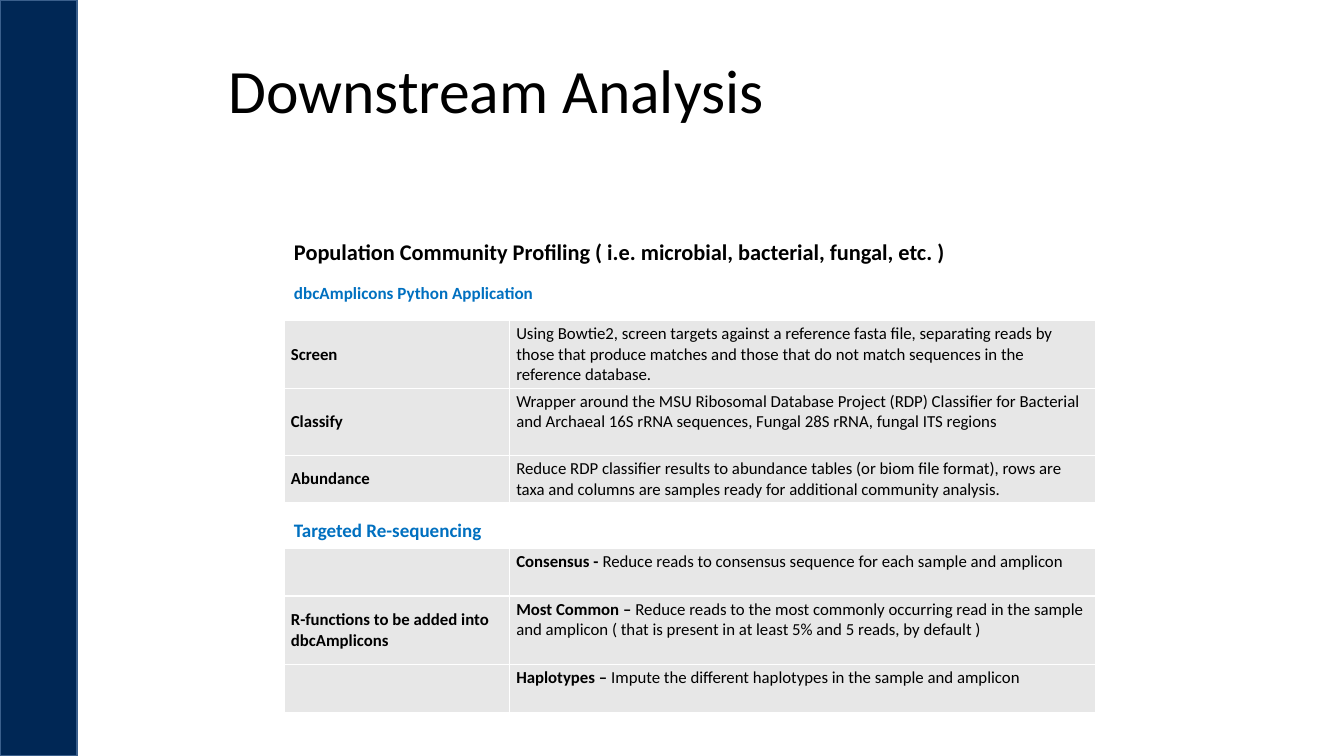
from lxml.etree import SubElement
from pptx import Presentation
from pptx.dml.color import RGBColor
from pptx.enum.shapes import MSO_SHAPE as Preset
from pptx.enum.text import MSO_ANCHOR as Anchor
from pptx.oxml.ns import qn
from pptx.util import Cm, Pt

FONT = "Calibri"
COLORS = {
    "navy": "002755",
    "edge": "3A5F8C",
    "ink": "000000",
    "blue": "0070C0",
    "cell": "E7E7E7",
    "rule": "FFFFFF",
}

TITLE = "Downstream Analysis"
HEADINGS = [
    ("Population Community Profiling ( i.e. microbial, bacterial, fungal, etc. )", 5.87, 18.06, 0.94, 16, "ink"),
    ("dbcAmplicons Python Application", 6.99, 14.68, 0.79, 12.2, "blue"),
    ("Targeted Re-sequencing", 12.93, 14.25, 0.84, 13.6, "blue"),
]
APPLICATION = [
    ("Screen", "", "Using Bowtie2, screen targets against a reference fasta file, separating reads by those that produce matches and those that do not match sequences in the reference database."),
    ("Classify", "", "Wrapper around the MSU Ribosomal Database Project (RDP) Classifier for Bacterial and Archaeal 16S rRNA sequences, Fungal 28S rRNA, fungal ITS regions"),
    ("Abundance", "", "Reduce RDP classifier results to abundance tables (or biom file format), rows are taxa and columns are samples ready for additional community analysis."),
]
RESEQUENCING = [
    ("", "Consensus - ", "Reduce reads to consensus sequence for each sample and amplicon"),
    ("R-functions to be added into dbcAmplicons", "Most Common – ", "Reduce reads to the most commonly occurring read in the sample and amplicon ( that is present in at least 5% and 5 reads, by default )"),
    ("", "Haplotypes – ", "Impute the different haplotypes in the sample and amplicon"),
]
TABLES = [
    (APPLICATION, 8.08, (1.7, 1.7, 1.18)),
    (RESEQUENCING, 13.81, (1.21, 1.73, 1.21)),
]
LEFT = 7.16
COLUMNS = (5.68, 14.78)


def color(name):
    return RGBColor.from_string(COLORS[name])


def style(font, size, name="ink", bold=False):
    font.name, font.size, font.bold = FONT, Pt(size), bold
    font.color.rgb = color(name)


def add_text(slide, text, box, size, name="ink", bold=False, anchor=Anchor.TOP):
    frame = slide.shapes.add_textbox(*(Cm(length) for length in box)).text_frame
    frame.word_wrap = True
    frame.vertical_anchor = anchor
    paragraph = frame.paragraphs[0]
    paragraph.text = text
    style(paragraph.font, size, name, bold)
    return paragraph


def fill_cell(cell, parts, anchor):
    cell.margin_left = cell.margin_right = Cm(0.17)
    cell.margin_top = cell.margin_bottom = Cm(0.08)
    cell.vertical_anchor = anchor
    paragraph = cell.text_frame.paragraphs[0]
    style(paragraph.font, 12)
    for text, bold in parts:
        if text:
            run = paragraph.add_run()
            run.text = text
            style(run.font, 12, bold=bold)
    properties = cell._tc.get_or_add_tcPr()
    for side in ("a:lnL", "a:lnR", "a:lnT", "a:lnB"):
        border = SubElement(properties, qn(side), w=str(Pt(1)))
        paint = SubElement(border, qn("a:solidFill"))
        SubElement(paint, qn("a:srgbClr"), val=COLORS["rule"])
    cell.fill.solid()
    cell.fill.fore_color.rgb = color("cell")


def add_steps(slide, steps, top, heights):
    table = slide.shapes.add_table(
        len(steps), len(COLUMNS), Cm(LEFT), Cm(top), Cm(sum(COLUMNS)), Cm(sum(heights))
    ).table
    table.first_row = table.horz_banding = False
    for column, width in zip(table.columns, COLUMNS):
        column.width = Cm(width)
    for row, height, (label, lead, detail) in zip(table.rows, heights, steps):
        row.height = Cm(height)
        fill_cell(row.cells[0], [(label, True)], Anchor.MIDDLE)
        fill_cell(row.cells[1], [(lead, True), (detail, False)], Anchor.TOP)


def main():
    deck = Presentation()
    deck.slide_width, deck.slide_height = Cm(33.87), Cm(19.05)
    slide = deck.slides.add_slide(deck.slide_layouts[6])

    band = slide.shapes.add_shape(Preset.RECTANGLE, 0, 0, Cm(1.94), deck.slide_height)
    band.shadow.inherit = False
    band.fill.solid()
    band.fill.fore_color.rgb = color("navy")
    band.line.color.rgb = color("edge")
    band.line.width = Pt(1)

    title = add_text(slide, TITLE, (5.5, 0.76, 22.76, 3.18), 44, anchor=Anchor.MIDDLE)
    title.line_spacing = 0.9
    for text, top, width, height, size, name in HEADINGS:
        add_text(slide, text, (LEFT, top, width, height), size, name, bold=True)
    for steps, top, heights in TABLES:
        add_steps(slide, steps, top, heights)

    deck.save("out.pptx")


if __name__ == "__main__":
    main()
